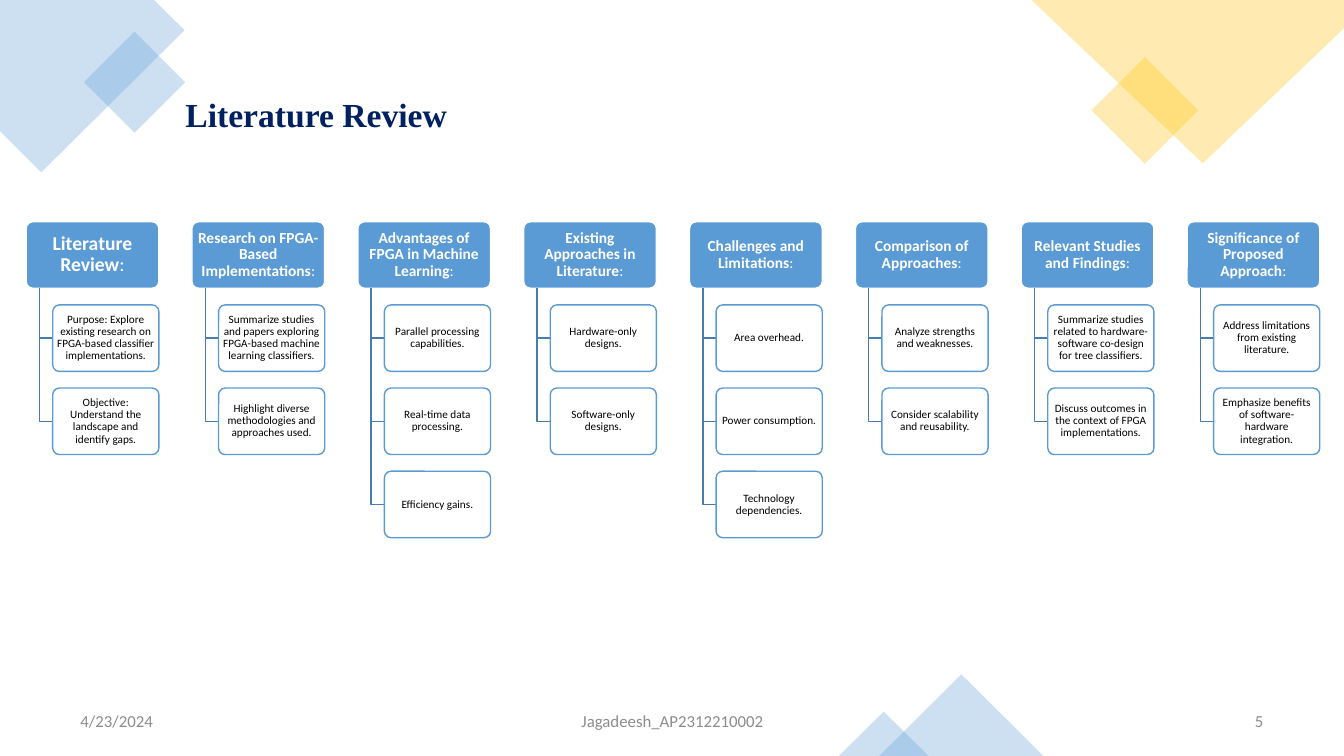
"""Builds the literature review slide with eight topic columns."""
from lxml import etree
from pptx import Presentation
from pptx.dml.color import RGBColor
from pptx.enum.shapes import MSO_SHAPE
from pptx.enum.text import MSO_ANCHOR, PP_ALIGN
from pptx.oxml.ns import qn
from pptx.util import Inches, Pt

ROUNDED, RECTANGLE = MSO_SHAPE.ROUNDED_RECTANGLE, MSO_SHAPE.RECTANGLE
TRIANGLE = MSO_SHAPE.ISOSCELES_TRIANGLE
MIDDLE = MSO_ANCHOR.MIDDLE
LEFT, CENTER, RIGHT = PP_ALIGN.LEFT, PP_ALIGN.CENTER, PP_ALIGN.RIGHT

COLORS = {
    "blue": "5B9BD5", "gold": "FFC000", "elbow": "497CAB", "navy": "002060",
    "gray": "8C8C8C", "white": "FFFFFF", "black": "000000",
}

TOPICS = [
    ("Literature Review", 14, [
        "Purpose: Explore existing research on FPGA-based classifier implementations.",
        "Objective: Understand the landscape and identify gaps."]),
    ("Research on FPGA-Based Implementations", 11, [
        "Summarize studies and papers exploring FPGA-based machine learning classifiers.",
        "Highlight diverse methodologies and approaches used."]),
    ("Advantages of FPGA in Machine Learning", 11, [
        "Parallel processing capabilities.", "Real-time data processing.",
        "Efficiency gains."]),
    ("Existing Approaches in Literature", 11, [
        "Hardware-only designs.", "Software-only designs."]),
    ("Challenges and Limitations", 11, [
        "Area overhead.", "Power consumption.", "Technology dependencies."]),
    ("Comparison of Approaches", 11, [
        "Analyze strengths and weaknesses.", "Consider scalability and reusability."]),
    ("Relevant Studies and Findings", 11, [
        "Summarize studies related to hardware-software co-design for tree classifiers.",
        "Discuss outcomes in the context of FPGA implementations."]),
    ("Significance of Proposed Approach", 11, [
        "Address limitations from existing literature.",
        "Emphasize benefits of software-hardware integration."]),
]


def color(name):
    """Return the named colour."""
    return RGBColor.from_string(COLORS[name])


def paint(shape, fill, opacity=100, line=None):
    """Set the fill, opacity and outline of a shape."""
    shape.shadow.inherit = False
    shape.fill.solid()
    shape.fill.fore_color.rgb = color(fill)
    if opacity < 100:
        tint = shape.fill._xPr.find(qn("a:solidFill"))[0]
        etree.SubElement(tint, qn("a:alpha"), val=str(opacity * 1000))
    if line:
        shape.line.color.rgb = color(line)
        shape.line.width = Pt(1)
    else:
        shape.line.fill.background()


def write(shape, spans, size, ink, align=LEFT, font="Calibri", spacing=None, insets=None):
    """Write (text, bold) spans as one paragraph in a shape."""
    frame = shape.text_frame
    frame.word_wrap = True
    frame.vertical_anchor = MIDDLE
    if insets:
        frame.margin_left = frame.margin_right = Inches(insets[0])
        frame.margin_top = frame.margin_bottom = Inches(insets[1])
    para = frame.paragraphs[0]
    para.alignment = align
    para.line_spacing = spacing
    for text, bold in spans:
        span = para.add_run()
        span.text = text
        span.font.name = font
        span.font.size = Pt(size)
        span.font.bold = bold
        span.font.color.rgb = color(ink)


def add_outline(page, points, close):
    """Draw a freeform through points given in inches."""
    corners = [(Inches(x), Inches(y)) for x, y in points]
    builder = page.shapes.build_freeform(*corners[0])
    builder.add_line_segments(corners[1:], close=close)
    return builder.convert_to_shape()


def add_preset(page, kind, box):
    """Add a preset shape in a box given in inches."""
    return page.shapes.add_shape(kind, *map(Inches, box))


def add_rounded_box(page, box, fill, line, opacity=100):
    """Add a slightly rounded box."""
    shape = add_preset(page, ROUNDED, box)
    shape.adjustments[0] = 0.1
    paint(shape, fill, opacity, line)
    return shape


def add_elbow(page, x, top, right, bottom):
    """Draw the branch from a heading down and across to a detail."""
    elbow = add_outline(page, [(x, top), (x, bottom), (right, bottom)], False)
    elbow.shadow.inherit = False
    elbow.fill.background()
    elbow.line.color.rgb = color("elbow")
    elbow.line.width = Pt(1)


def add_topic(page, box, heading, size, details):
    """Draw one heading with its branched details."""
    left, top, width, height = box
    head = add_rounded_box(page, box, "blue", "white")
    write(head, [(heading, True), (":", False)], size, "white", CENTER,
          spacing=0.9, insets=(0.02, 0.02))
    stem, indent, pitch = left + width * 0.1, left + width * 0.2, height * 1.25
    for row, detail in enumerate(details, 1):
        detail_top = top + row * pitch
        add_elbow(page, stem, top + height, indent, detail_top + height / 2)
        card = add_rounded_box(page, (indent, detail_top, width * 0.8, height),
                               "white", "blue", 90)
        write(card, [(detail, False)], 8, "black", CENTER,
              spacing=0.9, insets=(0.02, 0.01))


def add_topics(page, box):
    """Spread the topic columns evenly across the box."""
    left, top, width, height = box
    column = width / (len(TOPICS) * 1.25 - 0.25)
    for index, topic in enumerate(TOPICS):
        add_topic(page, (left + index * column * 1.25, top, column, height), *topic)


def add_decoration(page, width, height):
    """Draw the translucent corner shapes."""
    blue_corner = [(0, 0), (1.53, 0), (1.83, 0.3), (0.41, 1.71), (0, 1.3)]
    gold_corner = [(width, 0), (10.23, 0), (11.93, 1.62), (width, 0.28)]
    paint(add_outline(page, blue_corner, True), "blue", 30)
    for left, top, side, fill in [(0.98, 0.46, 0.71, "blue"), (10.98, 0.72, 0.75, "gold")]:
        diamond = add_preset(page, RECTANGLE, (left, top, side, side))
        diamond.rotation = 315
        paint(diamond, fill, 30)
    paint(add_outline(page, gold_corner, True), "gold", 30)
    for left, base, rise in [(8.72, 1.63, 0.81), (8.32, 0.89, 0.44)]:
        peak = add_preset(page, TRIANGLE, (left, height - rise, base, rise))
        paint(peak, "blue", 30)


def add_title(page, box):
    """Write the slide title."""
    title = page.shapes.add_textbox(*map(Inches, box))
    write(title, [("Literature Review", True)], 24, "navy",
          font="Times New Roman", spacing=0.9)


def add_footer(page, top, height):
    """Write the date, author and page number."""
    for left, width, text, align in [
        (0.7, 3, "4/23/2024", LEFT),
        (4.42, 4.5, "Jagadeesh_AP2312210002", CENTER),
        (9.63, 3, "5", RIGHT),
    ]:
        label = page.shapes.add_textbox(*map(Inches, (left, top, width, height)))
        write(label, [(text, False)], 12, "gray", align)


def main():
    """Build and save the deck."""
    width, height = 13.33, 7.5
    deck = Presentation()
    deck.slide_width, deck.slide_height = Inches(width), Inches(height)
    page = deck.slides.add_slide(deck.slide_layouts[6])
    add_decoration(page, width, height)
    add_footer(page, 6.95, 0.4)
    add_topics(page, (0.26, 2.2, 12.83, 0.66))
    add_title(page, (1.74, 0.82, 8.19, 0.68))
    deck.save("out.pptx")


if __name__ == "__main__":
    main()
